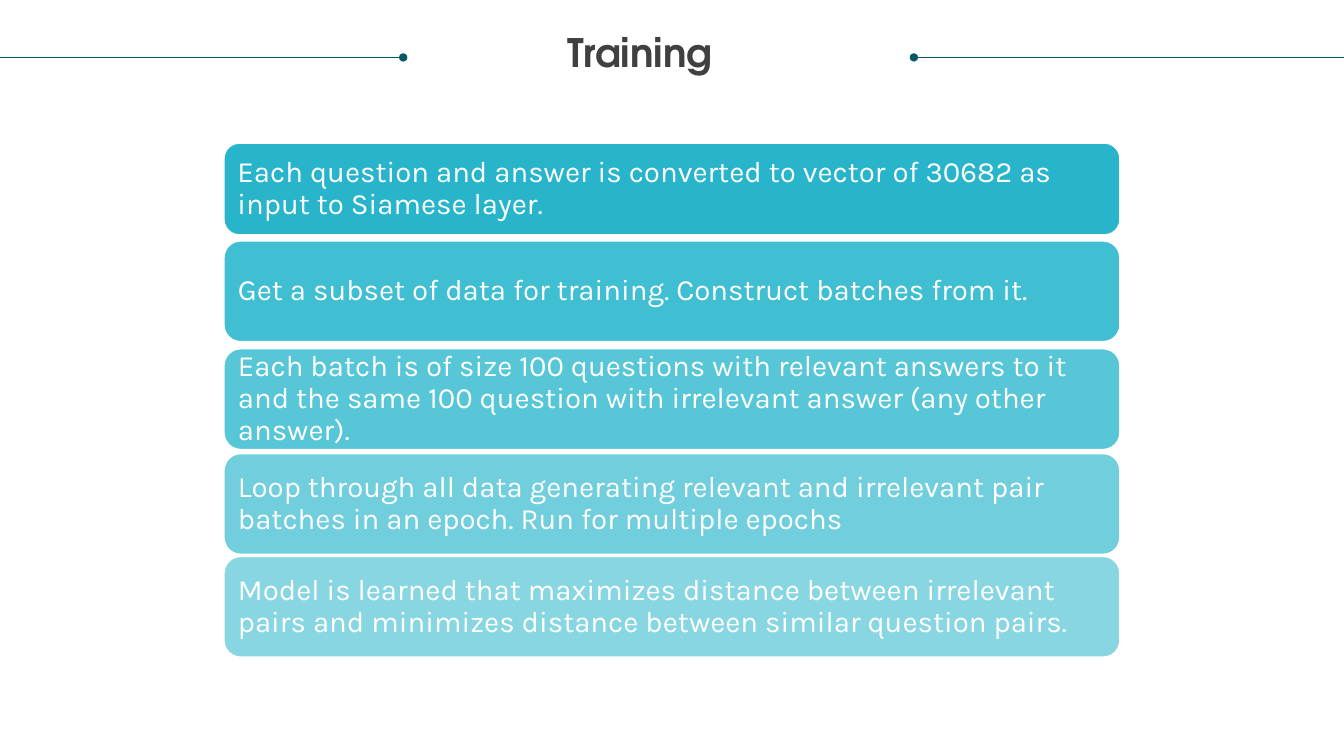
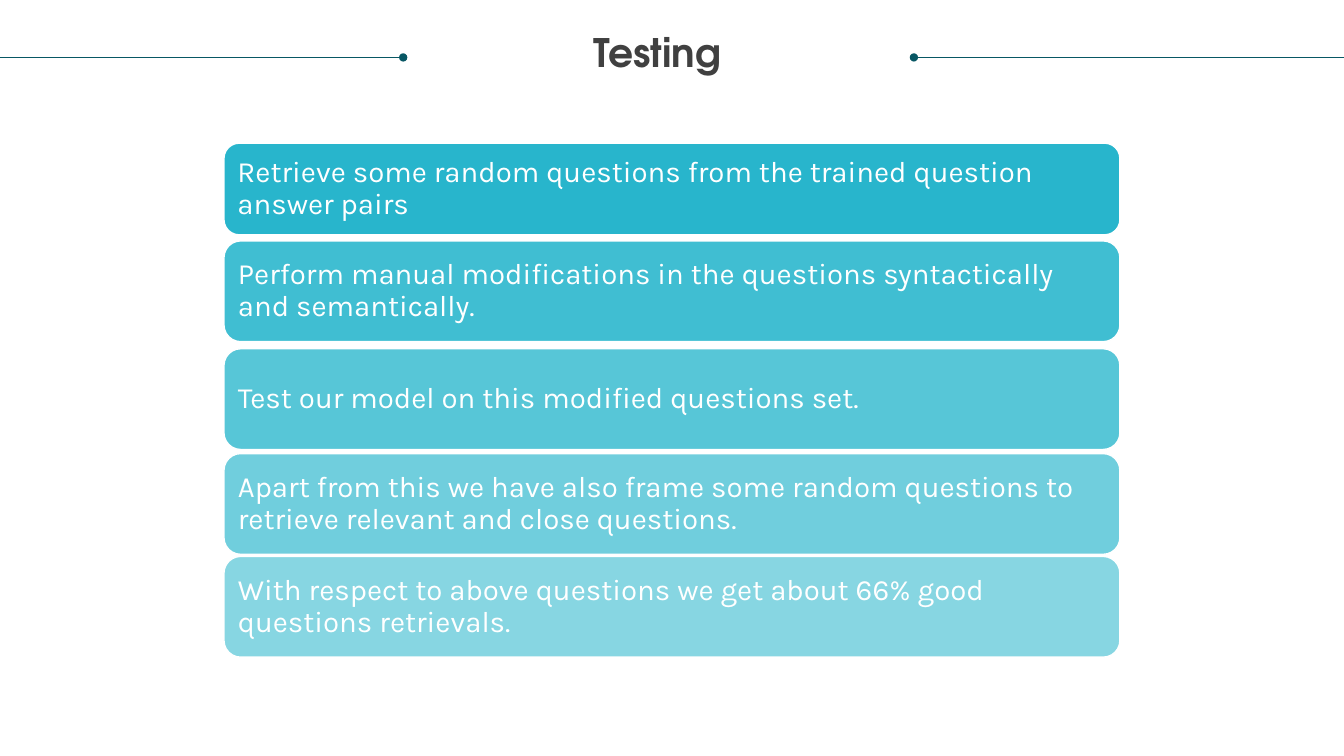
"""Build the training and testing slides."""
from dataclasses import dataclass

from lxml.etree import SubElement
from pptx import Presentation
from pptx.dml.color import RGBColor
from pptx.enum.shapes import MSO_CONNECTOR, MSO_SHAPE
from pptx.enum.text import MSO_ANCHOR, MSO_AUTO_SIZE, PP_ALIGN
from pptx.oxml.ns import qn
from pptx.util import Inches, Pt


@dataclass(frozen=True)
class Theme:
    """Hold the colours, fonts and type sizes that the slides share."""
    card: RGBColor = RGBColor(0x11, 0xAE, 0xC7)
    rule: RGBColor = RGBColor(0x08, 0x57, 0x64)
    title: RGBColor = RGBColor(0x40, 0x40, 0x40)
    white: RGBColor = RGBColor(0xFF, 0xFF, 0xFF)
    title_font: str = "TeX Gyre Adventor"
    body_font: str = "Karla"
    title_size: int = 28
    body_size: int = 21


THEME = Theme()
WIDTH, HEIGHT = Inches(40 / 3), Inches(7.5)
COLUMN = WIDTH / 6
RULE_TOP = Inches(0.57)
RULE_ENDS = ((0, 0.3), (1, 0.68))
CARD_ROWS = ((1.42, 0.91), (2.39, 1), (3.46, 1), (4.5, 1), (5.52, 1))

SLIDES = (
    ("Training", 6.35, (
        "Each question and answer is converted to vector of 30682 as input to Siamese layer.",
        "Get a subset of data for training. Construct batches from it.",
        "Each batch is of size 100 questions with relevant answers to it and the same "
        "100 question with irrelevant answer (any other answer).",
        "Loop through all data generating relevant and irrelevant pair batches in an epoch. "
        "Run for multiple epochs",
        "Model is learned that maximizes distance between irrelevant pairs and minimizes "
        "distance between similar question pairs.",
    )),
    ("Testing", 6.52, (
        "Retrieve some random questions from the trained question answer pairs",
        "Perform manual modifications in the questions syntactically and semantically.",
        "Test our model on this modified questions set.",
        "Apart from this we have also frame some random questions to retrieve relevant "
        "and close questions.",
        "With respect to above questions we get about 66% good questions retrievals.",
    )),
)


def write_text(shape, text, *, font, size, color, bold=False,
               align=PP_ALIGN.LEFT, anchor=MSO_ANCHOR.MIDDLE, inset=0):
    """Write one formatted paragraph into a shape."""
    frame = shape.text_frame
    frame.word_wrap = True
    frame.auto_size = MSO_AUTO_SIZE.NONE
    frame.vertical_anchor = anchor
    frame.margin_left = frame.margin_right = Inches(inset)
    frame.margin_top = frame.margin_bottom = Inches(inset)
    paragraph = frame.paragraphs[0]
    paragraph.alignment = align
    paragraph.line_spacing = 0.9
    run = paragraph.add_run()
    run.text = text
    run.font.name = font
    run.font.size = Pt(size)
    run.font.bold = bold
    run.font.color.rgb = color


def add_title(slide, text, center):
    """Place the title around a centre given in inches."""
    title = slide.shapes.title
    title.width, title.height = Inches(4.5), Inches(0.42)
    title.left, title.top = Inches(center) - title.width // 2, Inches(0.33)
    write_text(title, text, font=THEME.title_font, size=THEME.title_size,
               color=THEME.title, bold=True, align=PP_ALIGN.CENTER,
               anchor=MSO_ANCHOR.TOP)


def add_rule(slide, start, end):
    """Draw a dot-ended rule between two shares of the slide's width."""
    rule = slide.shapes.add_connector(
        MSO_CONNECTOR.STRAIGHT, int(start * WIDTH), RULE_TOP, int(end * WIDTH), RULE_TOP)
    rule.line.color.rgb = THEME.rule
    rule.line.width = Pt(0.5)
    properties = rule._element.spPr
    SubElement(properties.find(qn("a:ln")), qn("a:tailEnd"), type="oval")
    SubElement(properties, qn("a:effectLst"))


def add_card(slide, text, top, height, opacity):
    """Add a rounded card four columns wide, its opacity in percent."""
    card = slide.shapes.add_shape(
        MSO_SHAPE.ROUNDED_RECTANGLE, int(COLUMN), Inches(top), int(4 * COLUMN), Inches(height))
    card.shadow.inherit = False
    card.fill.solid()
    card.fill.fore_color.rgb = THEME.card
    color = card._element.spPr.find(qn("a:solidFill")).find(qn("a:srgbClr"))
    SubElement(color, qn("a:alpha"), val=str(opacity * 1000))
    card.line.color.rgb = THEME.white
    card.line.width = Pt(1)
    write_text(card, text, font=THEME.body_font, size=THEME.body_size,
               color=THEME.white, inset=0.09)


def main():
    """Build both slides and save the presentation."""
    presentation = Presentation()
    presentation.slide_width, presentation.slide_height = WIDTH, HEIGHT
    for title, center, steps in SLIDES:
        slide = presentation.slides.add_slide(presentation.slide_layouts[5])
        for start, end in RULE_ENDS:
            add_rule(slide, start, end)
        add_title(slide, title, center)
        for index, (step, (top, height)) in enumerate(zip(steps, CARD_ROWS)):
            add_card(slide, step, top, height, opacity=90 - 10 * index)
    presentation.save("out.pptx")


main()
